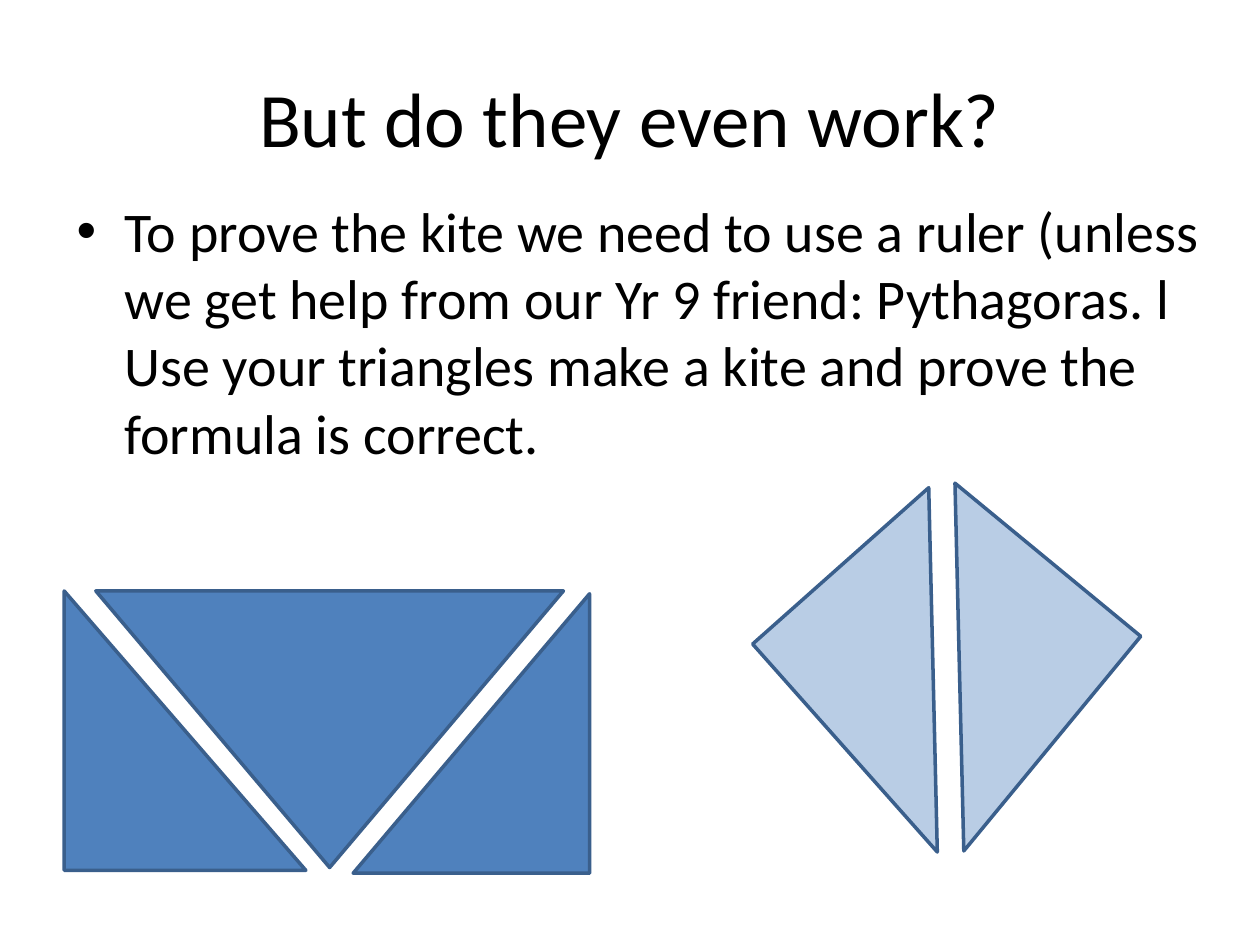
from lxml.etree import SubElement
from pptx import Presentation
from pptx.dml.color import RGBColor
from pptx.enum.shapes import MSO_SHAPE
from pptx.enum.text import MSO_ANCHOR, PP_ALIGN
from pptx.oxml.ns import qn
from pptx.util import Inches, Pt

BLACK = RGBColor(0x00, 0x00, 0x00)
BLUE = RGBColor(0x4F, 0x81, 0xBD)
PALE_BLUE = RGBColor(0xB9, 0xCD, 0xE5)
OUTLINE = RGBColor(0x3A, 0x5F, 0x8C)

# Boxes are left, top, width, height in inches
TITLE_BOX = (0.5, 0.3, 9, 1.25)
BODY_BOX = (0.51, 1.51, 9.15, 4.05)
RECTANGLE_BOX = (0.51, 4.69, 4.17, 2.24)
KITE_BOX = (6.47, 4.19, 2.1, 2.23)


def add_text(page, box, text, size, align=PP_ALIGN.LEFT, anchor=MSO_ANCHOR.TOP,
             bullet=None, indent=0):
    frame = page.shapes.add_textbox(*map(Inches, box)).text_frame
    frame.word_wrap = True
    frame.vertical_anchor = anchor
    para = frame.paragraphs[0]
    para.alignment = align
    if bullet:
        properties = para._p.get_or_add_pPr()
        properties.set("marL", str(Inches(indent)))
        properties.set("indent", str(-Inches(indent)))
        SubElement(properties, qn("a:buFont")).set("typeface", "Arial")
        SubElement(properties, qn("a:buChar")).set("char", bullet)
    span = para.add_run()
    span.text = text
    span.font.name = "Calibri"
    span.font.size = Pt(size)
    span.font.color.rgb = BLACK


def add_triangle(page, box, shares, kind, fill, rotation=0, flipped=False):
    """Place a triangle whose frame is given as shares of the box."""
    left, top, width, height = box
    x, y, across, down = shares
    triangle = page.shapes.add_shape(
        kind, Inches(left + x * width), Inches(top + y * height),
        Inches(across * width), Inches(down * height))
    triangle.shadow.inherit = False
    triangle.rotation = rotation
    triangle.fill.solid()
    triangle.fill.fore_color.rgb = fill
    triangle.line.color.rgb = OUTLINE
    triangle.line.width = Pt(2)
    if flipped:
        triangle.element.spPr.find(qn("a:xfrm")).set("flipH", "1")


def add_split_rectangle(page, box):
    add_triangle(page, box, (0.06, 0, 0.89, 0.98),
                 MSO_SHAPE.ISOSCELES_TRIANGLE, BLUE, rotation=180)
    add_triangle(page, box, (0.55, 0.01, 0.45, 0.99),
                 MSO_SHAPE.RIGHT_TRIANGLE, BLUE, flipped=True)
    add_triangle(page, box, (0, 0, 0.46, 0.99), MSO_SHAPE.RIGHT_TRIANGLE, BLUE)


def add_kite(page, box):
    add_triangle(page, box, (0, 0.01, 0.89, 0.99), MSO_SHAPE.RIGHT_TRIANGLE,
                 PALE_BLUE, rotation=138.4, flipped=True)
    add_triangle(page, box, (0.09, 0, 0.91, 0.99), MSO_SHAPE.RIGHT_TRIANGLE,
                 PALE_BLUE, rotation=219.5)


def main():
    deck = Presentation()
    deck.slide_width, deck.slide_height = Inches(10), Inches(7.5)
    page = deck.slides.add_slide(deck.slide_layouts[6])
    add_text(page, TITLE_BOX, "But do they even work?", 44,
             align=PP_ALIGN.CENTER, anchor=MSO_ANCHOR.MIDDLE)
    add_text(page, BODY_BOX,
             "To prove the kite we need to use a ruler (unless we get help from "
             "our Yr 9 friend: Pythagoras. l Use your triangles make a kite and "
             "prove the formula is correct.", 32, bullet="•", indent=0.38)
    add_split_rectangle(page, RECTANGLE_BOX)
    add_kite(page, KITE_BOX)
    deck.save("out.pptx")


if __name__ == "__main__":
    main()
